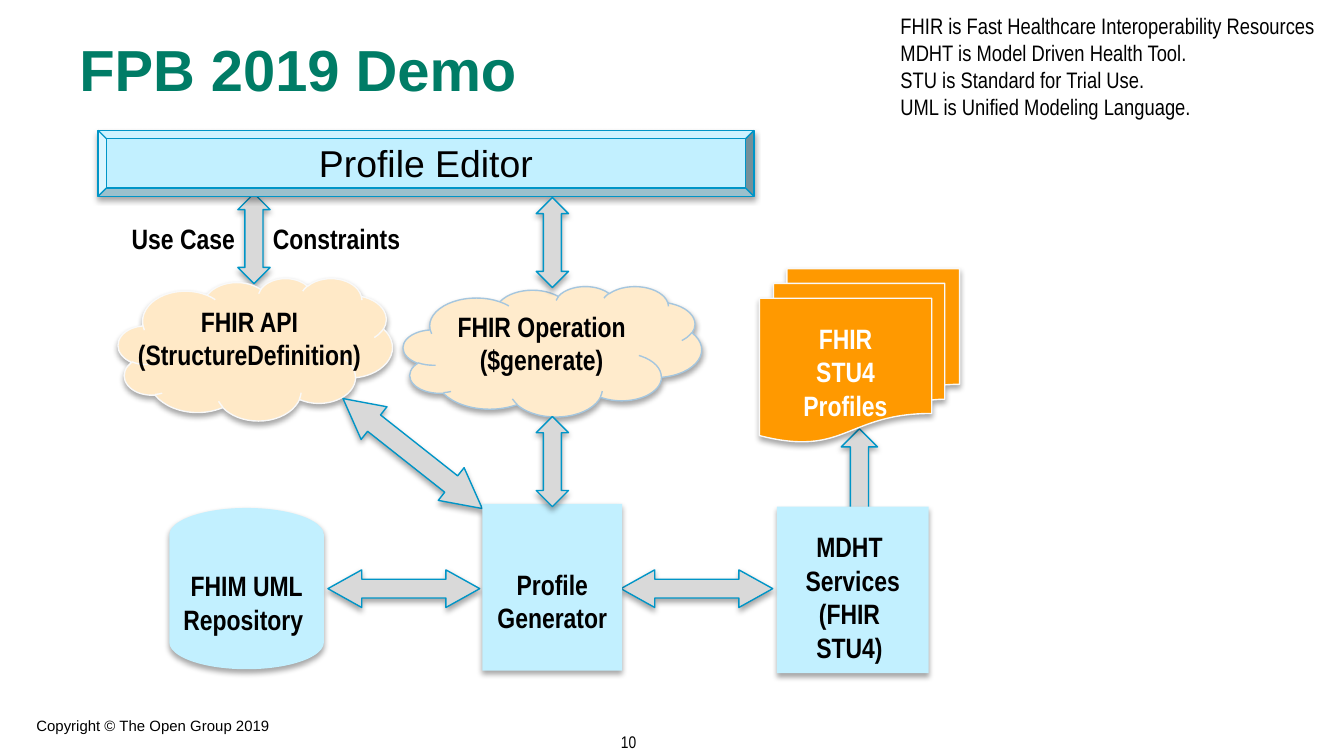
"""Build the FPB 2019 Demo architecture slide."""
from lxml.etree import SubElement
from pptx import Presentation
from pptx.dml.color import RGBColor
from pptx.enum.shapes import MSO_SHAPE
from pptx.enum.text import MSO_ANCHOR, PP_ALIGN
from pptx.oxml.ns import qn
from pptx.util import Inches, Pt

BLUE, TEAL, GRAY, PALE = "C2F0FF", "0095C7", "D9D9D9", "F9F9F9"
NARROW = "Arial Narrow"

presentation = Presentation()
presentation.slide_width = Inches(10)
presentation.slide_height = Inches(10) * 9 // 16
slide = presentation.slides.add_slide(presentation.slide_layouts[6])


def add_shape(kind, box, fill, line=None, rotation=0, adjustments=()):
    shape = slide.shapes.add_shape(kind, *[Inches(length) for length in box])
    shape.rotation = rotation
    for index, value in enumerate(adjustments):
        shape.adjustments[index] = value
    shape.fill.solid()
    shape.fill.fore_color.rgb = RGBColor.from_string(fill)
    if line:
        shape.line.color.rgb = RGBColor.from_string(line)
        shape.line.width = Pt(0.75)
    else:
        shape.line.fill.background()
    shape.shadow.inherit = False
    effects = shape.element.spPr.find(qn("a:effectLst"))
    shadow = SubElement(effects, qn("a:outerShdw"), blurRad=str(Pt(3)), dist=str(Pt(1.8)),
                        dir="5400000", rotWithShape="0")
    color = SubElement(shadow, qn("a:srgbClr"), val="000000")
    SubElement(color, qn("a:alpha"), val="35000")
    return shape


def write_text(shape, text, size=15, font=NARROW, color="000000", bold=True,
               align=PP_ALIGN.CENTER, anchor=MSO_ANCHOR.MIDDLE,
               margins=(0.05, 0.05, 0.05, 0.05), wrap=True):
    frame = shape.text_frame
    frame.text = text
    frame.word_wrap = wrap
    frame.vertical_anchor = anchor
    frame.margin_left, frame.margin_top, frame.margin_right, frame.margin_bottom = [
        Inches(margin) for margin in margins]
    for paragraph in frame.paragraphs:
        paragraph.alignment = align
        if "\t" in text:
            properties = paragraph._p.get_or_add_pPr()
            tabs = SubElement(properties, qn("a:tabLst"))
            SubElement(tabs, qn("a:tab"), pos=str(Inches(1.05)), algn="l")
        for run in paragraph.runs:
            run.font.size = Pt(size)
            run.font.name = font
            run.font.bold = bold
            run.font.color.rgb = RGBColor.from_string(color)


add_shape(MSO_SHAPE.RIGHT_ARROW, (6.07, 3.38, 0.65, 0.27), GRAY, TEAL, 270, (0.5, 0.5))
add_shape(MSO_SHAPE.UP_DOWN_ARROW, (1.77, 1.44, 0.24, 0.67), GRAY, TEAL, 0, (0.5, 0.56))

repository = add_shape(MSO_SHAPE.FLOWCHART_MAGNETIC_DISK, (1.26, 3.78, 1.15, 1.2), BLUE)
write_text(repository, "FHIM UML Repository ")

api_cloud = add_shape(MSO_SHAPE.CLOUD, (0.88, 2.07, 2.04, 1.06), "FFE9C7", PALE)
write_text(api_cloud, "FHIR API\n(StructureDefinition)", margins=(0.11, 0, 0.05, 0.12), wrap=False)

editor = add_shape(MSO_SHAPE.BEVEL, (0.73, 0.97, 4.88, 0.49), BLUE, TEAL)
write_text(editor, "Profile Editor", 20, "Arial", bold=False, margins=(0.05, 0, 0.05, 0.01))

profiles = add_shape(MSO_SHAPE.FLOWCHART_MULTIDOCUMENT, (5.65, 2, 1.49, 1.29), "FF9900", PALE)
write_text(profiles, "FHIR\nSTU4\nProfiles", color="FFFFFF", margins=(0.05, 0.07, 0.05, 0))

services = add_shape(MSO_SHAPE.RECTANGLE, (5.78, 3.77, 1.13, 1.24), BLUE)
write_text(services, "MDHT \nServices\n(FHIR \nSTU4) ", margins=(0.05, 0.15, 0.05, 0.05))

add_shape(MSO_SHAPE.LEFT_RIGHT_ARROW, (2.41, 3.22, 1.32, 0.31), GRAY, TEAL, 38.3, (0.5, 0.95))
for left in (2.44, 4.62):
    add_shape(MSO_SHAPE.LEFT_RIGHT_ARROW, (left, 4.24, 1.13, 0.28), GRAY, TEAL, 0, (0.5, 0.9))

generator = add_shape(MSO_SHAPE.RECTANGLE, (3.59, 3.75, 1.04, 1.24), BLUE)
write_text(generator, "Profile Generator", margins=(0.05, 0.2, 0.05, 0))

operation_cloud = add_shape(MSO_SHAPE.CLOUD, (3, 2.13, 2.22, 0.97), "FFEBCC", "A5C6DE")
write_text(operation_cloud, "FHIR Operation\n($generate)", margins=(0.05, 0, 0.05, 0.08), wrap=False)

for top in (1.47, 3.1):
    add_shape(MSO_SHAPE.UP_DOWN_ARROW, (3.99, top, 0.24, 0.67), GRAY, TEAL, 0, (0.5, 0.56))

glossary = "\n".join((
    "FHIR is Fast Healthcare Interoperability Resources",
    "MDHT is Model Driven Health Tool.",
    "STU is Standard for Trial Use.",
    "UML is Unified Modeling Language.",
))
flush, padded = (0, 0, 0, 0), (0.05, 0.05, 0.05, 0.05)
middle, upper = MSO_ANCHOR.MIDDLE, MSO_ANCHOR.TOP
labels = [
    ("FPB 2019 Demo", (0.59, 0.04, 7.51, 0.94), 31, "Arial", "007C66", True, middle, flush),
    ("Use Case\tConstraints", (0.93, 1.6, 2.47, 0.34), 15, NARROW, "000000", True, upper, padded),
    (glossary, (6.65, 0.04, 3.35, 1.11), 12, NARROW, "000000", False, upper, padded),
    ("Copyright © The Open Group 2019", (0.27, 5.33, 2.85, 0.14), 8, "Arial", "000000", False,
     middle, flush),
    ("10", (4.62, 5.45, 0.14, 0.14), 9, NARROW, "000000", False, middle, flush),
]
for text, box, size, font, color, bold, anchor, margins in labels:
    label = slide.shapes.add_textbox(*[Inches(length) for length in box])
    write_text(label, text, size, font, color, bold, PP_ALIGN.LEFT, anchor, margins)

presentation.save("out.pptx")
